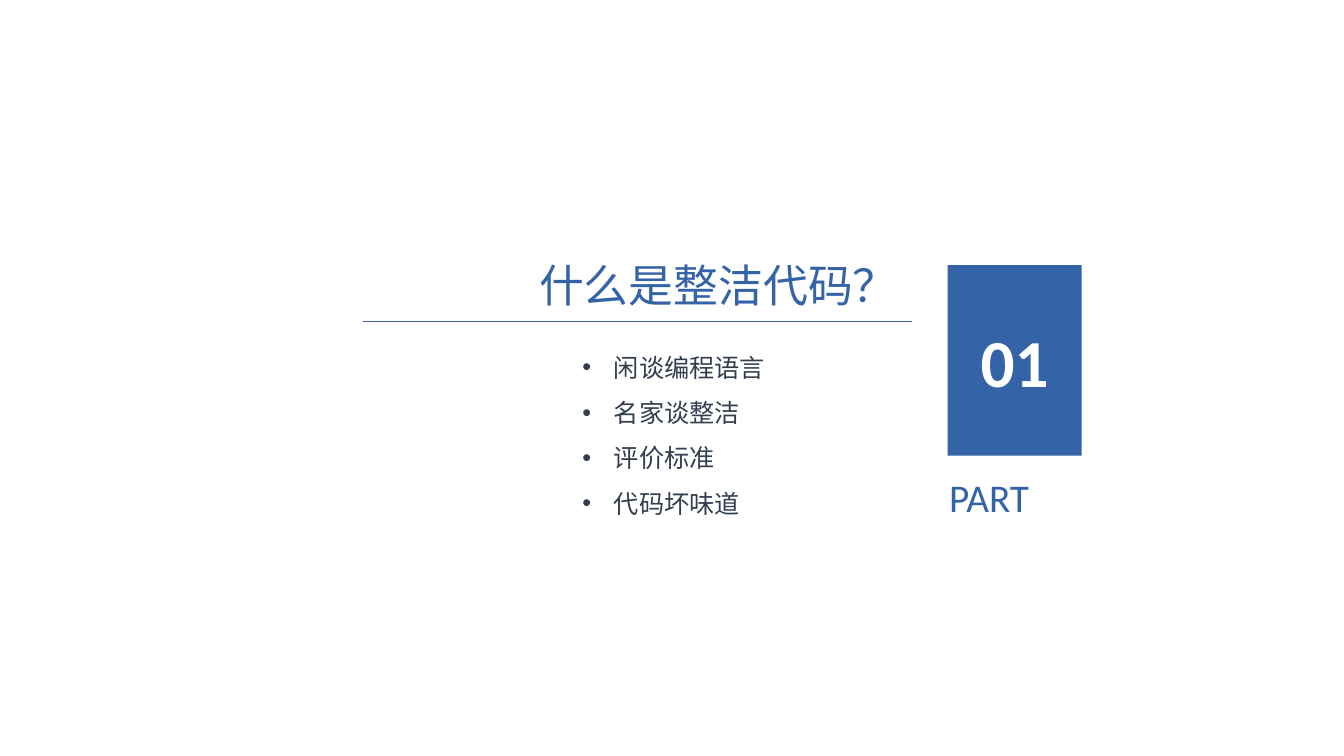
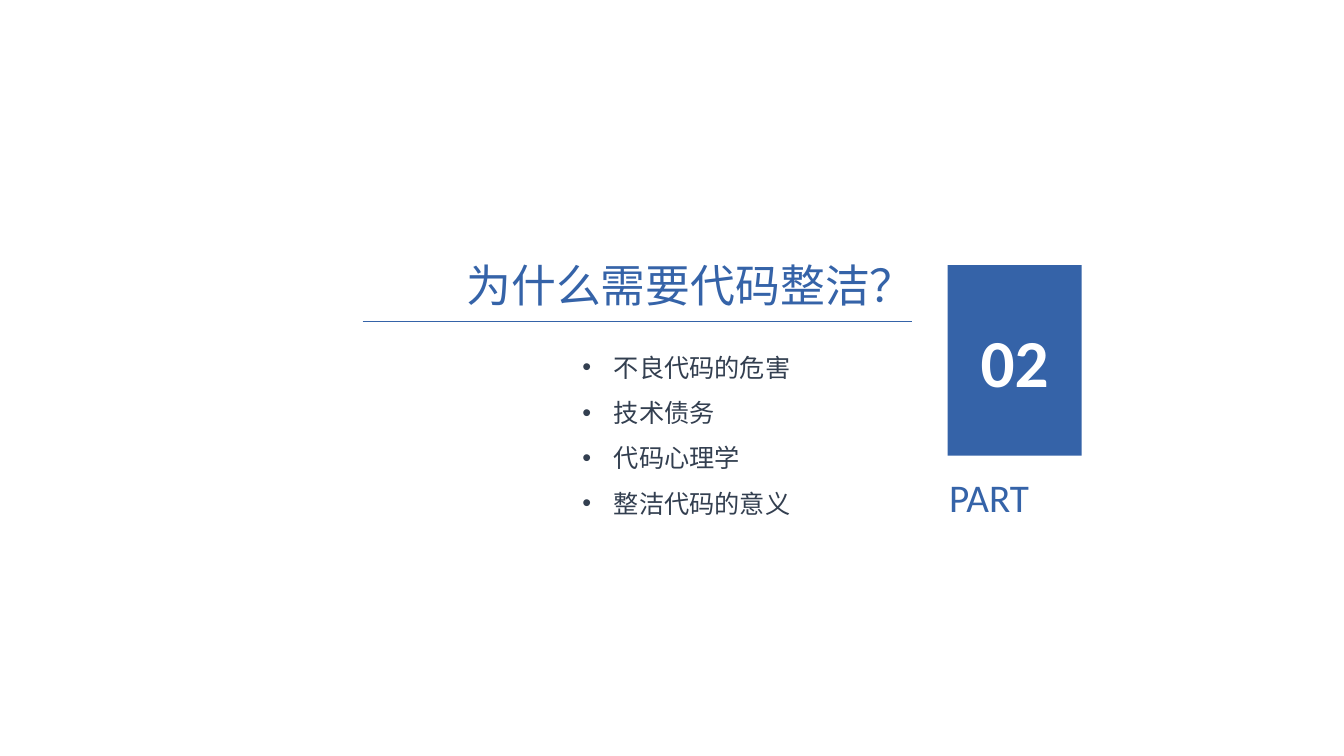
from pptx import Presentation
from pptx.dml.color import RGBColor
from pptx.enum.shapes import MSO_CONNECTOR, MSO_SHAPE
from pptx.enum.text import MSO_ANCHOR, MSO_AUTO_SIZE, PP_ALIGN
from pptx.oxml.ns import qn
from pptx.util import Cm, Pt
from lxml import etree

STRAIGHT = MSO_CONNECTOR.STRAIGHT
RECTANGLE = MSO_SHAPE.RECTANGLE
MIDDLE = MSO_ANCHOR.MIDDLE
GROW = MSO_AUTO_SIZE.SHAPE_TO_FIT_TEXT
LEFT, CENTER, RIGHT, JUSTIFY = PP_ALIGN.LEFT, PP_ALIGN.CENTER, PP_ALIGN.RIGHT, PP_ALIGN.JUSTIFY

COLORS = {"blue": "3563A8", "slate": "333F50", "white": "FFFFFF"}
CHINESE_FONT = "Noto Sans CJK SC"
LATIN_FONT = "Calibri"
BULLET_INDENT = Cm(0.79)

SECTIONS = [
    ("01", "什么是整洁代码？", 6.73,
     ["闲谈编程语言", "名家谈整洁", "评价标准", "代码坏味道"]),
    ("02", "为什么需要代码整洁？", 7.16,
     ["不良代码的危害", "技术债务", "代码心理学", "整洁代码的意义"]),
]


def write_paragraph(paragraph, text, size, color, font_name, alignment, bold=False):
    paragraph.text = text
    paragraph.alignment = alignment
    font = paragraph.font
    font.size = Pt(size)
    font.bold = bold
    font.color.rgb = RGBColor.from_string(COLORS[color])
    font.name = font_name
    properties = paragraph._p.pPr.find(qn("a:defRPr"))
    etree.SubElement(properties, qn("a:ea")).set("typeface", font_name)


def add_text_frame(slide, left, top, width, height):
    box = slide.shapes.add_textbox(Cm(left), Cm(top), Cm(width), Cm(height))
    box.text_frame.word_wrap = True
    box.text_frame.auto_size = GROW
    return box.text_frame


presentation = Presentation()
presentation.slide_width = Cm(33.87)
presentation.slide_height = Cm(19.05)
blank_layout = presentation.slide_layouts[6]

for number, title, title_left, topics in SECTIONS:
    slide = presentation.slides.add_slide(blank_layout)

    title_frame = add_text_frame(slide, title_left, 6.38, 16.15, 1.63)
    write_paragraph(title_frame.paragraphs[0], title, 32, "blue", CHINESE_FONT, RIGHT)

    rule = slide.shapes.add_connector(STRAIGHT, Cm(9.14), Cm(8.1), Cm(22.99), Cm(8.1))
    rule.line.color.rgb = RGBColor.from_string(COLORS["blue"])
    rule.line.width = Pt(0.5)
    etree.SubElement(rule._element.spPr, qn("a:effectLst"))

    topic_frame = add_text_frame(slide, 14.43, 8.36, 8.79, 4.88)
    for index, topic in enumerate(topics):
        paragraph = topic_frame.add_paragraph() if index else topic_frame.paragraphs[0]
        paragraph.line_spacing = 1.5
        properties = paragraph._p.get_or_add_pPr()
        properties.set("marL", str(BULLET_INDENT))
        properties.set("indent", str(-BULLET_INDENT))
        etree.SubElement(properties, qn("a:buFont")).set("typeface", "Arial")
        etree.SubElement(properties, qn("a:buChar")).set("char", "•")
        write_paragraph(paragraph, topic, 18, "slate", CHINESE_FONT, LEFT)

    part_frame = add_text_frame(slide, 23.67, 11.79, 3.78, 1.45)
    write_paragraph(part_frame.paragraphs[0], "PART", 28, "blue", LATIN_FONT, JUSTIFY)

    number_block = slide.shapes.add_shape(RECTANGLE, Cm(23.88), Cm(6.68), Cm(3.38), Cm(4.8))
    number_block.shadow.inherit = False
    number_block.fill.solid()
    number_block.fill.fore_color.rgb = RGBColor.from_string(COLORS["blue"])
    number_block.line.fill.background()
    number_block.text_frame.vertical_anchor = MIDDLE
    write_paragraph(number_block.text_frame.paragraphs[0], number, 48, "white",
                    LATIN_FONT, CENTER, bold=True)

presentation.save("out.pptx")
